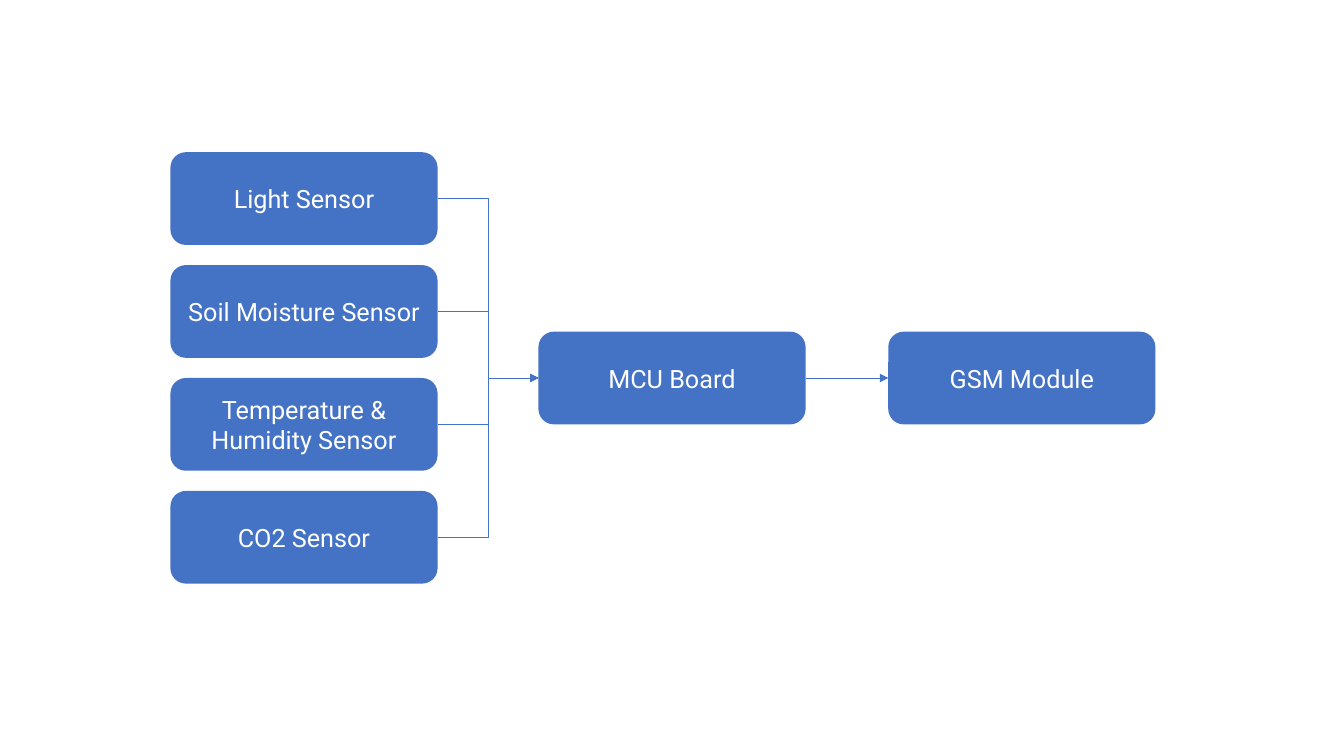
from pptx import Presentation
from pptx.dml.color import RGBColor
from pptx.enum.shapes import MSO_CONNECTOR, MSO_SHAPE
from pptx.enum.text import MSO_ANCHOR, PP_ALIGN
from pptx.oxml.ns import qn
from pptx.util import Inches, Pt
from lxml import etree

ROUNDED = MSO_SHAPE.ROUNDED_RECTANGLE
ELBOW, STRAIGHT = MSO_CONNECTOR.ELBOW, MSO_CONNECTOR.STRAIGHT
MIDDLE, CENTER = MSO_ANCHOR.MIDDLE, PP_ALIGN.CENTER
LEFT_SITE, RIGHT_SITE = 1, 3

THEME = {
    "blue": RGBColor(0x44, 0x72, 0xC4),
    "white": RGBColor(0xFF, 0xFF, 0xFF),
    "font": "Roboto",
    "size": Pt(18),
    "line": Pt(0.5),
}
BOX_W, BOX_H = 2.65, 0.92
SENSOR_X, SENSOR_Y, SENSOR_STEP = 1.69, 1.51, 1.12
BOARD_X, MODULE_X, MAIN_Y = 5.34, 8.81, 3.29
SENSORS = ["Light Sensor", "Soil Moisture Sensor",
           "Temperature & Humidity Sensor", "CO2 Sensor"]

prs = Presentation()
prs.slide_width, prs.slide_height = Inches(13.33), Inches(7.5)
s = prs.slides.add_slide(prs.slide_layouts[6])


def add_box(text, *, x, y, fill=THEME["blue"], color=THEME["white"], size=THEME["size"]):
    sp = s.shapes.add_shape(ROUNDED, Inches(x), Inches(y), Inches(BOX_W), Inches(BOX_H))
    sp.shadow.inherit = False
    sp.fill.solid()
    sp.fill.fore_color.rgb = fill
    sp.line.fill.background()
    tf = sp.text_frame
    tf.word_wrap = True
    tf.vertical_anchor = MIDDLE
    p = tf.paragraphs[0]
    p.alignment = CENTER
    r = p.add_run()
    r.text = text
    r.font.name, r.font.size, r.font.color.rgb = THEME["font"], size, color
    return sp


def add_arrow(kind, start, end):
    c = s.shapes.add_connector(kind, start.left + start.width, start.top + start.height // 2,
                               end.left, end.top + end.height // 2)
    c.begin_connect(start, RIGHT_SITE)
    c.end_connect(end, LEFT_SITE)
    c.line.color.rgb = THEME["blue"]
    c.line.width = THEME["line"]
    spPr = c._element.spPr
    etree.SubElement(spPr.find(qn("a:ln")), qn("a:tailEnd"), type="triangle")
    etree.SubElement(spPr, qn("a:effectLst"))


board = add_box("MCU Board", x=BOARD_X, y=MAIN_Y)
module = add_box("GSM Module", x=MODULE_X, y=MAIN_Y)
add_arrow(STRAIGHT, board, module)
for i, name in enumerate(SENSORS):
    sensor = add_box(name, x=SENSOR_X, y=SENSOR_Y + i * SENSOR_STEP)
    add_arrow(ELBOW, sensor, board)

prs.save("out.pptx")
